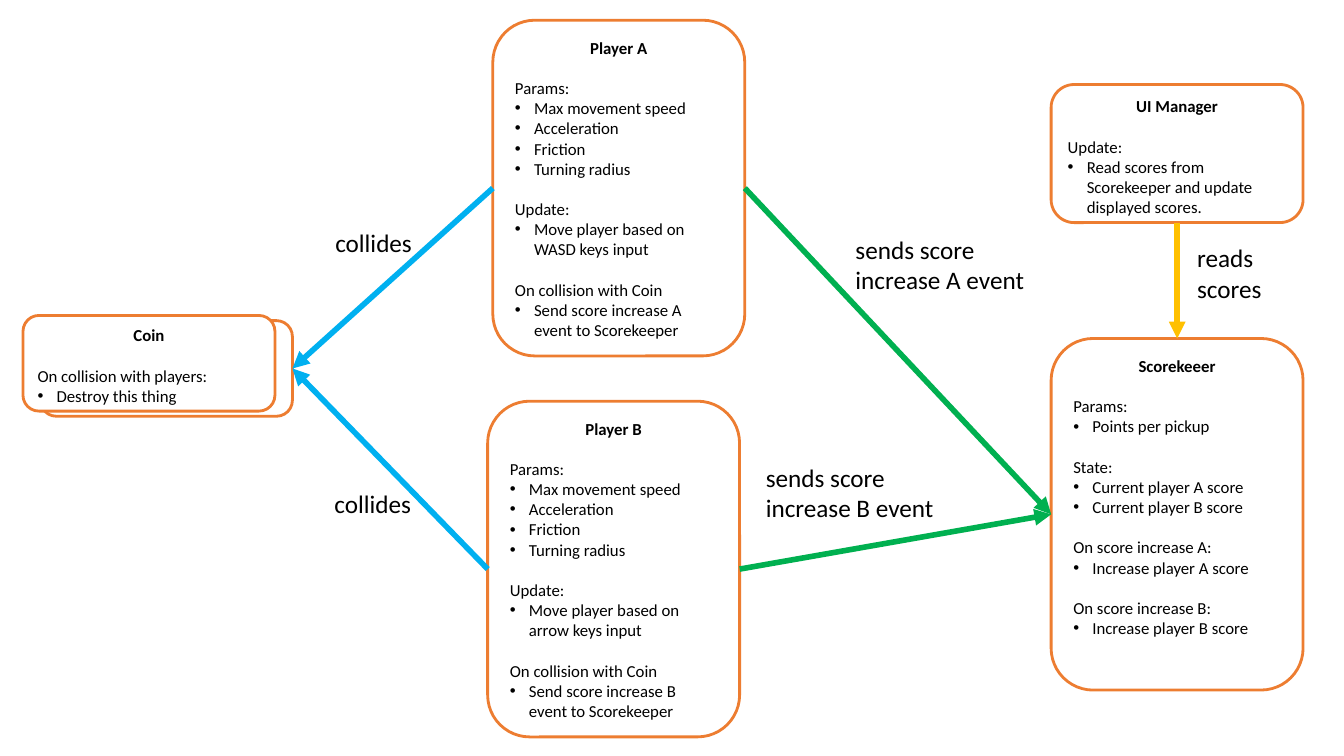
from dataclasses import dataclass

from lxml import etree
from pptx import Presentation
from pptx.dml.color import RGBColor
from pptx.enum.shapes import MSO_CONNECTOR, MSO_SHAPE
from pptx.enum.text import MSO_ANCHOR, MSO_AUTO_SIZE, PP_ALIGN
from pptx.oxml.ns import qn
from pptx.util import Cm, Pt

ROUNDED = MSO_SHAPE.ROUNDED_RECTANGLE
STRAIGHT = MSO_CONNECTOR.STRAIGHT
TOP = MSO_ANCHOR.TOP
LEFT, CENTER = PP_ALIGN.LEFT, PP_ALIGN.CENTER
GROW = MSO_AUTO_SIZE.SHAPE_TO_FIT_TEXT

COLORS = {
    "white": "FFFFFF",
    "text": "000000",
    "border": "ED7D31",
    "collision": "00B0F0",
    "score": "00B050",
    "read": "FFC000",
}
FONT = "Calibri"
CARD_WIDTH = 6.35
LINE_GAP = Pt(14.4)
BULLET_INDENT = Cm(0.48)
# Connection sites of a rounded rectangle
SITE_TOP, SITE_LEFT, SITE_BOTTOM, SITE_RIGHT = range(4)


@dataclass
class Section:
    heading: str
    bullets: list[str]


@dataclass
class Card:
    key: str
    left: float
    top: float
    height: float
    title: str = ""
    sections: tuple[Section, ...] = ()


@dataclass
class Arrow:
    start: str
    start_site: int
    end: str
    end_site: int
    color: str


@dataclass
class Label:
    lines: tuple[str, ...]
    left: float
    top: float
    width: float
    height: float
    wrap: bool = False


def color(name: str) -> RGBColor:
    return RGBColor.from_string(COLORS[name])


def add_run(paragraph, text: str, size: int, bold: bool = False) -> None:
    run = paragraph.add_run()
    run.text = text
    run.font.name = FONT
    run.font.size = Pt(size)
    run.font.bold = bold
    run.font.color.rgb = color("text")


def add_bullet(paragraph) -> None:
    properties = paragraph._p.get_or_add_pPr()
    properties.set("marL", str(BULLET_INDENT))
    properties.set("indent", str(-BULLET_INDENT))
    etree.SubElement(properties, qn("a:buFont")).set("typeface", "Arial")
    etree.SubElement(properties, qn("a:buChar")).set("char", "•")


def draw_card(slide, card: Card):
    shape = slide.shapes.add_shape(
        ROUNDED, Cm(card.left), Cm(card.top), Cm(CARD_WIDTH), Cm(card.height))
    shape.shadow.inherit = False
    shape.fill.solid()
    shape.fill.fore_color.rgb = color("white")
    shape.line.color.rgb = color("border")
    shape.line.width = Pt(2)
    if not card.title:
        return shape

    frame = shape.text_frame
    frame.word_wrap = True
    frame.vertical_anchor = TOP
    frame.paragraphs[0].alignment = CENTER
    add_run(frame.paragraphs[0], card.title, 12, bold=True)
    for section in card.sections:
        paragraph = frame.add_paragraph()
        paragraph.alignment = LEFT
        paragraph.space_before = LINE_GAP
        add_run(paragraph, section.heading, 12)
        for bullet in section.bullets:
            paragraph = frame.add_paragraph()
            paragraph.alignment = LEFT
            add_bullet(paragraph)
            add_run(paragraph, bullet, 12)
    return shape


def draw_arrow(slide, arrow: Arrow, shapes: dict) -> None:
    connector = slide.shapes.add_connector(STRAIGHT, 0, 0, 0, 0)
    connector.begin_connect(shapes[arrow.start], arrow.start_site)
    connector.end_connect(shapes[arrow.end], arrow.end_site)
    connector.line.color.rgb = color(arrow.color)
    connector.line.width = Pt(4)
    line = connector.line._get_or_add_ln()
    etree.SubElement(line, qn("a:tailEnd")).set("type", "triangle")
    etree.SubElement(connector._element.spPr, qn("a:effectLst"))


def draw_label(slide, label: Label) -> None:
    box = slide.shapes.add_textbox(
        Cm(label.left), Cm(label.top), Cm(label.width), Cm(label.height))
    frame = box.text_frame
    frame.word_wrap = label.wrap
    frame.auto_size = GROW
    paragraph = frame.paragraphs[0]
    for index, text in enumerate(label.lines):
        if index:
            paragraph.add_line_break()
        add_run(paragraph, text, 18)


def player_card(name: str, keys: str, left: float, top: float) -> Card:
    return Card(f"player {name}", left, top, 8.46, f"Player {name}", (
        Section("Params:", ["Max movement speed", "Acceleration",
                            "Friction", "Turning radius"]),
        Section("Update:", [f"Move player based on {keys} keys input"]),
        Section("On collision with Coin",
                [f"Send score increase {name} event to Scorekeeper"]),
    ))


CARDS = [
    player_card("B", "arrow", 12.29, 10.11),
    player_card("A", "WASD", 12.42, 0.51),
    Card("coin stack", 1.02, 8.08, 2.41),
    Card("coin", 0.58, 7.95, 2.41, "Coin", (
        Section("On collision with players:", ["Destroy this thing"]),
    )),
    Card("scorekeeper", 26.49, 8.53, 8.86, "Scorekeeer", (
        Section("Params:", ["Points per pickup"]),
        Section("State:", ["Current player A score", "Current player B score"]),
        Section("On score increase A:", ["Increase player A score"]),
        Section("On score increase B:", ["Increase player B score"]),
    )),
    Card("ui manager", 26.49, 2.13, 3.48, "UI Manager", (
        Section("Update:", ["Read scores from Scorekeeper and update "
                            "displayed scores."]),
    )),
]

ARROWS = [
    Arrow("player B", SITE_LEFT, "coin stack", SITE_RIGHT, "collision"),
    Arrow("player A", SITE_LEFT, "coin stack", SITE_RIGHT, "collision"),
    Arrow("ui manager", SITE_BOTTOM, "scorekeeper", SITE_TOP, "read"),
    Arrow("player A", SITE_RIGHT, "scorekeeper", SITE_LEFT, "score"),
    Arrow("player B", SITE_RIGHT, "scorekeeper", SITE_LEFT, "score"),
]

LABELS = [
    Label(("collides",), 8.18, 12.19, 2.46, 1.02),
    Label(("collides",), 8.2, 5.61, 2.46, 1.02),
    Label(("sends score increase A event",), 21.31, 5.77, 5.38, 1.8, True),
    Label(("reads", "scores"), 29.92, 5.99, 2.16, 1.8),
    Label(("sends score increase B event",), 19.05, 11.53, 5.38, 1.8, True),
]

presentation = Presentation()
presentation.slide_width = Cm(33.87)
presentation.slide_height = Cm(19.05)
slide = presentation.slides.add_slide(presentation.slide_layouts[6])

# Cards, then the arrows glued to them, then the arrow labels
card_shapes = {card.key: draw_card(slide, card) for card in CARDS}
for arrow in ARROWS:
    draw_arrow(slide, arrow, card_shapes)
for label in LABELS:
    draw_label(slide, label)

presentation.save("out.pptx")
